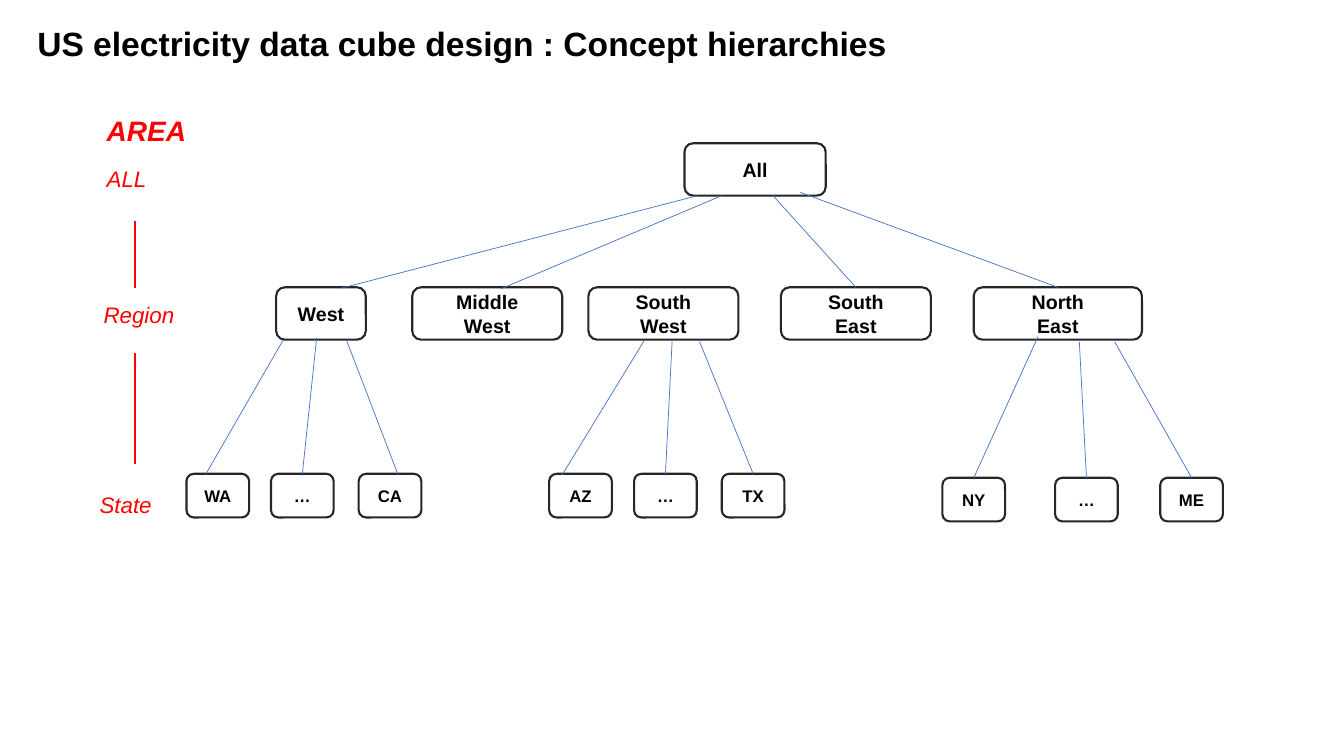
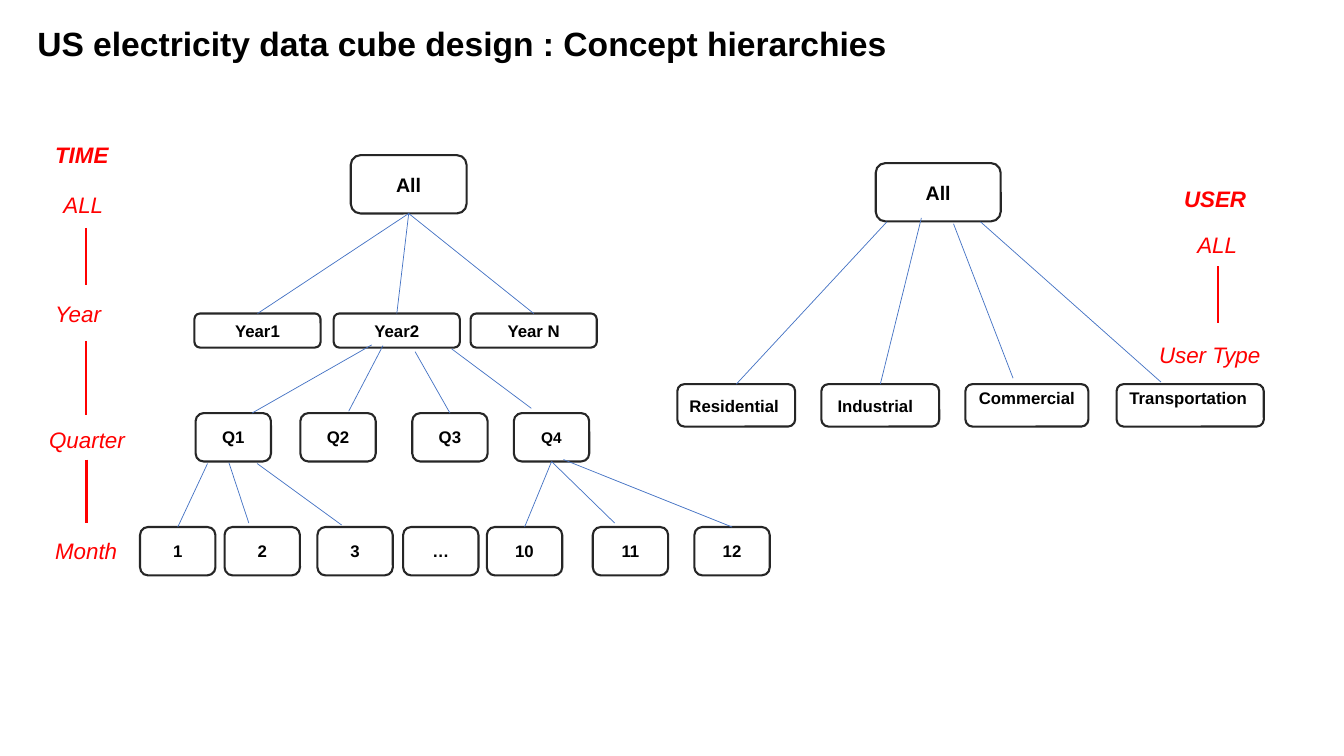
"""Build two slides that show the concept hierarchies of a data cube."""
from dataclasses import dataclass
from typing import Optional

from lxml import etree
from pptx import Presentation
from pptx.dml.color import RGBColor
from pptx.enum.shapes import MSO_CONNECTOR, MSO_SHAPE
from pptx.enum.text import MSO_ANCHOR, PP_ALIGN
from pptx.oxml.ns import qn
from pptx.shapes.autoshape import Shape
from pptx.shapes.connector import Connector
from pptx.slide import Slide
from pptx.text.text import TextFrame
from pptx.util import Cm, Pt

COLORS = {"text": "000000", "accent": "FF0000", "outline": "262626", "branch": "4472C4"}
FONT = "Arial"
TITLE = "US electricity data cube design : Concept hierarchies"
ROUNDED = MSO_SHAPE.ROUNDED_RECTANGLE
STRAIGHT = MSO_CONNECTOR.STRAIGHT
LEFT, CENTER = PP_ALIGN.LEFT, PP_ALIGN.CENTER
TOP, MIDDLE = MSO_ANCHOR.TOP, MSO_ANCHOR.MIDDLE
TOP_SIDE, BOTTOM_SIDE = 0, 2

Point = tuple[float, float]


@dataclass(frozen=True)
class Node:
    """A box; a branch without start or end joins the middle of a side."""

    text: str
    left: float
    parent: str = ""
    start: Optional[Point] = None
    end: Optional[Point] = None
    width: Optional[float] = None
    size: Optional[int] = None
    raised: bool = False
    right_inset: float = 0.25


@dataclass(frozen=True)
class Level:
    """A row of boxes with common top, size and type size."""

    top: float
    width: float
    height: float
    size: int
    nodes: tuple[Node, ...]


@dataclass(frozen=True)
class Label:
    """A red caption of a hierarchy level."""

    text: str
    left: float
    top: float
    width: float = 2.39
    height: float = 0.94
    size: int = 16
    bold: bool = False
    align: PP_ALIGN = LEFT


@dataclass(frozen=True)
class Bar:
    """A vertical red line between two captions."""

    x: float
    top: float
    bottom: float


@dataclass(frozen=True)
class Hierarchy:
    """A tree of boxes with its captions."""

    levels: tuple[Level, ...]
    labels: tuple[Label, ...]
    bars: tuple[Bar, ...]


AREA = Hierarchy(
    levels=(
        Level(3.61, 3.56, 1.32, 14, (Node("All", 17.25),)),
        Level(7.24, 3.78, 1.32, 14, (
            Node("West", 6.96, "All", (17.58, 4.93), (8.61, 7.26), width=2.26),
            Node("Middle\nWest", 10.39, "All", (18.19, 4.93), (12.62, 7.28)),
            Node("South\nWest", 14.83),
            Node("South\nEast", 19.68, "All", (19.48, 4.93)),
            Node("North\nEast", 24.54, "All", (20.17, 4.85), width=4.24),
        )),
        Level(11.94, 1.58, 1.1, 12, (
            Node("WA", 4.7, "West", (7.14, 8.56), (5.18, 11.96)),
            Node("…", 6.83, "West", (7.98, 8.51)),
            Node("CA", 9.04, "West", (8.74, 8.59), (10.03, 11.96)),
            Node("AZ", 13.84, "South\nWest", (16.23, 8.59), (14.17, 11.96)),
            Node("…", 15.98, "South\nWest", (16.94, 8.56)),
            Node("TX", 18.19, "South\nWest", (17.63, 8.61)),
        )),
        Level(12.04, 1.58, 1.1, 12, (
            Node("NY", 23.75, "North\nEast", (26.16, 8.48)),
            Node("…", 26.59, "North\nEast", (27.2, 8.61)),
            Node("ME", 29.24, "North\nEast", (28.09, 8.61)),
        )),
    ),
    labels=(
        Label("AREA", 2.44, 2.74, 3.15, 1.12, 20, bold=True),
        Label("ALL", 2.44, 4.04),
        Label("Region", 2.36, 7.47),
        Label("State", 2.26, 12.24),
    ),
    bars=(Bar(3.4, 5.56, 7.26), Bar(3.4, 8.89, 11.68)),
)

TIME = Hierarchy(
    levels=(
        Level(3.91, 2.92, 1.47, 14, (Node("All", 8.84),)),
        Level(7.9, 3.18, 0.86, 12, (
            Node("Year1", 4.9, "All"),
            Node("Year2", 8.41, "All"),
            Node("Year N", 11.86, "All"),
        )),
        Level(10.41, 1.9, 1.22, 12, (
            Node("Q1", 4.93, "Year2", (9.37, 8.69), (6.35, 10.41)),
            Node("Q2", 7.57, "Year2", (9.65, 8.71), (8.79, 10.36)),
            Node("Q3", 10.39, "Year2", (10.46, 8.86)),
            Node("Q4", 12.95, "Year2", (11.38, 8.79), (13.39, 10.29), size=11),
        )),
        Level(13.28, 1.9, 1.22, 12, (
            Node("1", 3.53, "Q1", (5.23, 11.68)),
            Node("2", 5.66, "Q1", (5.77, 11.66), (6.27, 13.18)),
            Node("3", 8.0, "Q1", (6.48, 11.68), (8.61, 13.23)),
            Node("…", 10.16),
            Node("10", 12.27, "Q4"),
            Node("11", 14.94, "Q4", end=(15.49, 13.18)),
            Node("12", 17.5, "Q4", (14.2, 11.58)),
        )),
    ),
    labels=(
        Label("TIME", 1.14, 3.43, 3.15, bold=True),
        Label("ALL", 1.35, 4.7),
        Label("Year", 1.14, 7.44),
        Label("Quarter", 0.99, 10.62, 2.67),
        Label("Month", 1.14, 13.41, 2.67),
    ),
    bars=(Bar(2.16, 5.74, 7.19), Bar(2.16, 8.59, 10.46), Bar(2.18, 11.58, 13.18)),
)

USER = Hierarchy(
    levels=(
        Level(4.11, 3.15, 1.47, 14, (Node("All", 22.07),)),
        Level(9.68, 2.97, 1.07, 12, (
            Node("Residential", 17.07, "All", (22.35, 5.59), right_inset=0.35),
            Node("Industrial", 20.7, "All", (23.22, 5.49), right_inset=0.5),
            Node("Commercial", 24.33, "All", (24.03, 5.64), (25.53, 9.53),
                 width=3.1, raised=True),
            Node("Transportation", 28.14, "All", (24.71, 5.59), (29.26, 9.63),
                 width=3.71, raised=True, right_inset=0.35),
        )),
    ),
    labels=(
        Label("USER", 29.59, 4.55, 3.15, bold=True),
        Label("ALL", 28.96, 5.69, 3.43, align=CENTER),
        Label("User Type", 28.96, 8.48, 3.43, 1.63),
    ),
    bars=(Bar(30.7, 6.71, 8.15),),
)

SLIDES = ((AREA,), (TIME, USER))


def color(name: str) -> RGBColor:
    """Return a palette colour."""
    return RGBColor.from_string(COLORS[name])


def write_text(frame: TextFrame, text: str, size: int, tint: str, align: PP_ALIGN = LEFT,
               bold: bool = False, italic: bool = False) -> None:
    """Write each line of the text as one paragraph with one run."""
    frame.word_wrap = True
    for index, line in enumerate(text.split("\n")):
        paragraph = frame.add_paragraph() if index else frame.paragraphs[0]
        paragraph.alignment = align
        run = paragraph.add_run()
        run.text = line
        font = run.font
        font.name, font.size, font.bold, font.italic = FONT, Pt(size), bold, italic
        font.color.rgb = color(tint)


def add_line(slide: Slide, start: Point, end: Point, tint: str, width: float) -> Connector:
    """Draw a straight line without shadow."""
    points = [Cm(value) for value in (*start, *end)]
    connector = slide.shapes.add_connector(STRAIGHT, *points)
    connector.line.color.rgb = color(tint)
    connector.line.width = Pt(width)
    etree.SubElement(connector._element.spPr, qn("a:effectLst"))
    return connector


def add_title(slide: Slide) -> None:
    """Write the title that the slides share."""
    box = slide.shapes.add_textbox(Cm(0.69), Cm(0.46), Cm(32.5), Cm(1.27))
    write_text(box.text_frame, TITLE, 24, "text", bold=True)


def add_node(slide: Slide, level: Level, node: Node) -> Shape:
    """Draw one box of a level."""
    shape = slide.shapes.add_shape(ROUNDED, Cm(node.left), Cm(level.top),
                                   Cm(node.width or level.width), Cm(level.height))
    shape.shadow.inherit = False
    shape.fill.background()
    shape.line.color.rgb = color("outline")
    shape.line.width = Pt(1.5)
    frame = shape.text_frame
    frame.vertical_anchor = TOP if node.raised else MIDDLE
    if node.raised:
        frame.margin_top = Cm(0.04)
    frame.margin_right = Cm(node.right_inset)
    write_text(frame, node.text, node.size or level.size, "text", CENTER, bold=True)
    return shape


def add_branch(slide: Slide, node: Node, parent: Shape, child: Shape) -> None:
    """Draw the line from a parent box to its child."""
    connector = add_line(slide, node.start or (0, 0), node.end or (0, 0), "branch", 0.5)
    if node.start is None:
        connector.begin_connect(parent, BOTTOM_SIDE)
    if node.end is None:
        connector.end_connect(child, TOP_SIDE)


def add_label(slide: Slide, label: Label) -> None:
    """Write one caption."""
    box = slide.shapes.add_textbox(Cm(label.left), Cm(label.top),
                                   Cm(label.width), Cm(label.height))
    write_text(box.text_frame, label.text, label.size, "accent", label.align,
               label.bold, italic=True)


def add_hierarchy(slide: Slide, hierarchy: Hierarchy) -> None:
    """Draw the boxes, branches and captions of one tree."""
    placed = [(node, add_node(slide, level, node))
              for level in hierarchy.levels for node in level.nodes]
    boxes = {node.text: shape for node, shape in placed}
    for node, shape in placed:
        if node.parent:
            add_branch(slide, node, boxes[node.parent], shape)
    for label in hierarchy.labels:
        add_label(slide, label)
    for bar in hierarchy.bars:
        add_line(slide, (bar.x, bar.top), (bar.x, bar.bottom), "accent", 1.5)


def main() -> None:
    """Build and save the presentation."""
    presentation = Presentation()
    presentation.slide_width, presentation.slide_height = Cm(33.87), Cm(19.05)
    for hierarchies in SLIDES:
        slide = presentation.slides.add_slide(presentation.slide_layouts[6])
        add_title(slide)
        for hierarchy in hierarchies:
            add_hierarchy(slide, hierarchy)
    presentation.save("out.pptx")


if __name__ == "__main__":
    main()
